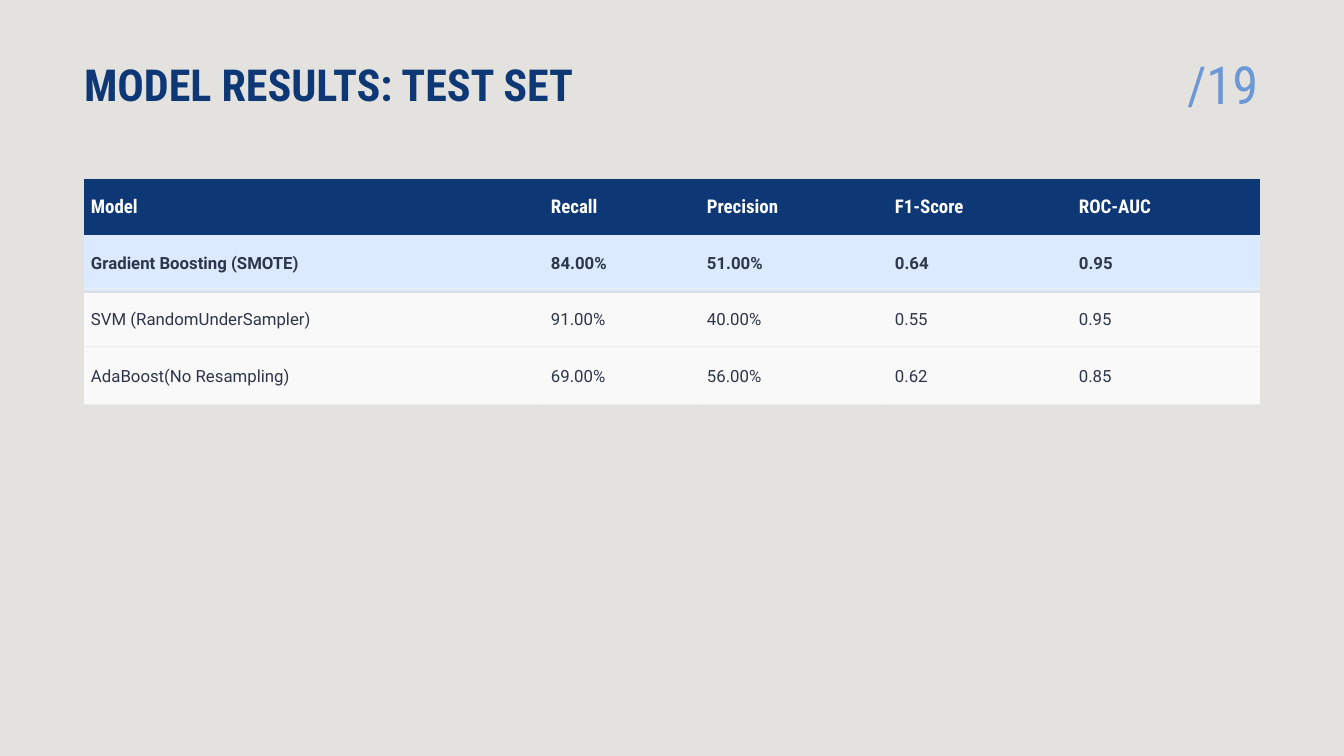
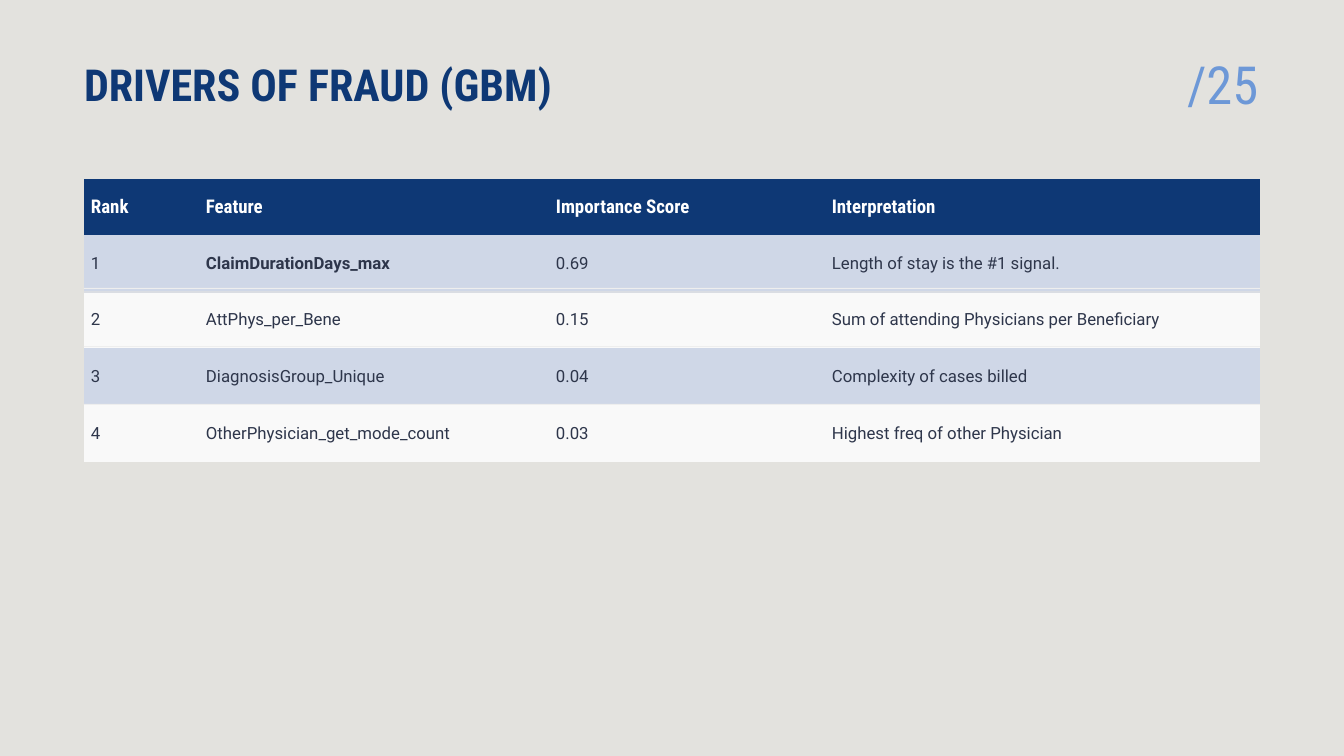
from lxml.etree import SubElement
from pptx import Presentation
from pptx.dml.color import RGBColor
from pptx.enum.shapes import MSO_SHAPE as SHAPE
from pptx.enum.text import MSO_ANCHOR as ANCHOR, MSO_AUTO_SIZE as AUTO, PP_ALIGN as ALIGN
from pptx.oxml import parse_xml
from pptx.oxml.ns import nsdecls, qn
from pptx.util import Emu, Pt

# Shared look
PX = 12192000 / 1344
NAVY = RGBColor(0x0E, 0x38, 0x75)
SKY = RGBColor(0x6D, 0x98, 0xD7)
INK = RGBColor(0x2E, 0x36, 0x4B)
WHITE = RGBColor(0xFF, 0xFF, 0xFF)
PAPER = RGBColor(0xE3, 0xE2, 0xDE)
PALE = RGBColor(0xF9, 0xF9, 0xF9)
BEST = RGBColor(0xDB, 0xEA, 0xFE)
BAND = RGBColor(0xCF, 0xD7, 0xE7)
RULE = RGBColor(0xEE, 0xEE, 0xEE)
EDGE = RGBColor(0xDA, 0xDD, 0xE3)
HEAD_FONT, BODY_FONT = "Roboto Condensed", "Roboto"
PLAIN_TABLE = "{2D5ABB26-0587-4C30-8999-92F81FD0307C}"
LEFT, TABLE_TOP, TABLE_W = 84, 179, 1176
ROW_HEIGHTS = [56, 57, 56, 57, 57]
RULE_TOP, RULE_STEP, RULE_COUNT = 288, 58, 3

# Slide content: bold lists the emphasised body cells as (row, column)
SLIDES = [
    dict(
        title="MODEL RESULTS: TEST SET", title_w=519, number="/19",
        cols=[460, 156, 188, 184, 188],
        fills=[NAVY, BEST, PALE, PALE],
        bold=[(1, c) for c in range(5)],
        rows=[
            ["Model", "Recall", "Precision", "F1-Score", "ROC-AUC"],
            ["Gradient Boosting (SMOTE)", "84.00%", "51.00%", "0.64", "0.95"],
            ["SVM (RandomUnderSampler)", "91.00%", "40.00%", "0.55", "0.95"],
            ["AdaBoost(No Resampling)", "69.00%", "56.00%", "0.62", "0.85"],
        ],
    ),
    dict(
        title="DRIVERS OF FRAUD (GBM)", title_w=495, number="/25",
        cols=[115, 350, 276, 435],
        fills=[NAVY, BAND, PALE, BAND, PALE],
        bold=[(1, 1)],
        rows=[
            ["Rank", "Feature", "Importance Score", "Interpretation"],
            ["1", "ClaimDurationDays_max", "0.69", "Length of stay is the #1 signal."],
            ["2", "AttPhys_per_Bene", "0.15", "Sum of attending Physicians per Beneficiary"],
            ["3", "DiagnosisGroup_Unique", "0.04", "Complexity of cases billed"],
            ["4", "OtherPhysician_get_mode_count", "0.03", "Highest freq of other Physician"],
        ],
    ),
]


def px(*lengths):
    return [Emu(round(n * PX)) for n in lengths]


def write(tf, text, font, size, color, bold=False):
    p = tf.paragraphs[0]
    p.alignment = ALIGN.LEFT
    r = p.add_run()
    r.text = text
    r.font.name, r.font.size, r.font.bold = font, Pt(size), bold
    r.font.color.rgb = color


prs = Presentation()
prs.slide_width, prs.slide_height = px(1344, 756)
bg = prs.slide_master.background.fill
bg.solid()
bg.fore_color.rgb = PAPER

for data in SLIDES:
    s = prs.slides.add_slide(prs.slide_layouts[5])
    rows, cols = data["rows"], data["cols"]

    # Table
    frame = s.shapes.add_table(len(rows), len(cols),
                               *px(LEFT, TABLE_TOP, TABLE_W, sum(ROW_HEIGHTS[:len(rows)])))
    table = frame.table
    table.horz_banding = False
    table._tbl.tblPr.find(qn("a:tableStyleId")).text = PLAIN_TABLE
    for column, width in zip(table.columns, px(*cols)):
        column.width = width
    for row, height in zip(table.rows, px(*ROW_HEIGHTS)):
        row.height = height
    for i, texts in enumerate(rows):
        for j, text in enumerate(texts):
            cell = table.cell(i, j)
            cell.fill.solid()
            cell.fill.fore_color.rgb = data["fills"][i]
            cell.vertical_anchor = ANCHOR.MIDDLE
            cell.margin_left, cell.margin_right = px(7, 7)
            cell.margin_top, cell.margin_bottom = px(3, 3)
            if i == 0:
                write(cell.text_frame, text, HEAD_FONT, 13.5, WHITE, True)
            else:
                write(cell.text_frame, text, BODY_FONT, 12, INK, (i, j) in data["bold"])
            # Thin edge under the top-ranked row
            if i == 1:
                edge = parse_xml(f'<a:lnB {nsdecls("a")} w="12700"/>')
                fill = SubElement(edge, qn("a:solidFill"))
                SubElement(fill, qn("a:srgbClr"), val=str(EDGE))
                cell._tc.get_or_add_tcPr().insert(0, edge)

    # Title and page number
    title = s.shapes.title
    title.left, title.top, title.width, title.height = px(LEFT, 57, data["title_w"], 52)
    number = s.shapes.add_textbox(*px(1187, 52, 73, 64))
    for sp, text, size, color, bold in [(title, data["title"], 31.5, NAVY, True),
                                        (number, data["number"], 37.5, SKY, False)]:
        tf = sp.text_frame
        tf.margin_left = tf.margin_top = tf.margin_right = tf.margin_bottom = 0
        tf.vertical_anchor = ANCHOR.TOP
        tf.word_wrap = False
        tf.auto_size = AUTO.NONE
        write(tf, text, HEAD_FONT, size, color, bold)

    # Row rules, one piece per column
    for k in range(RULE_COUNT):
        for j, width in enumerate(cols):
            sp = s.shapes.add_shape(SHAPE.RECTANGLE, *px(
                LEFT + sum(cols[:j]), RULE_TOP + k * RULE_STEP, width, 1))
            sp.shadow.inherit = False
            sp.fill.solid()
            sp.fill.fore_color.rgb = RULE
            sp.line.fill.background()

prs.save("out.pptx")
